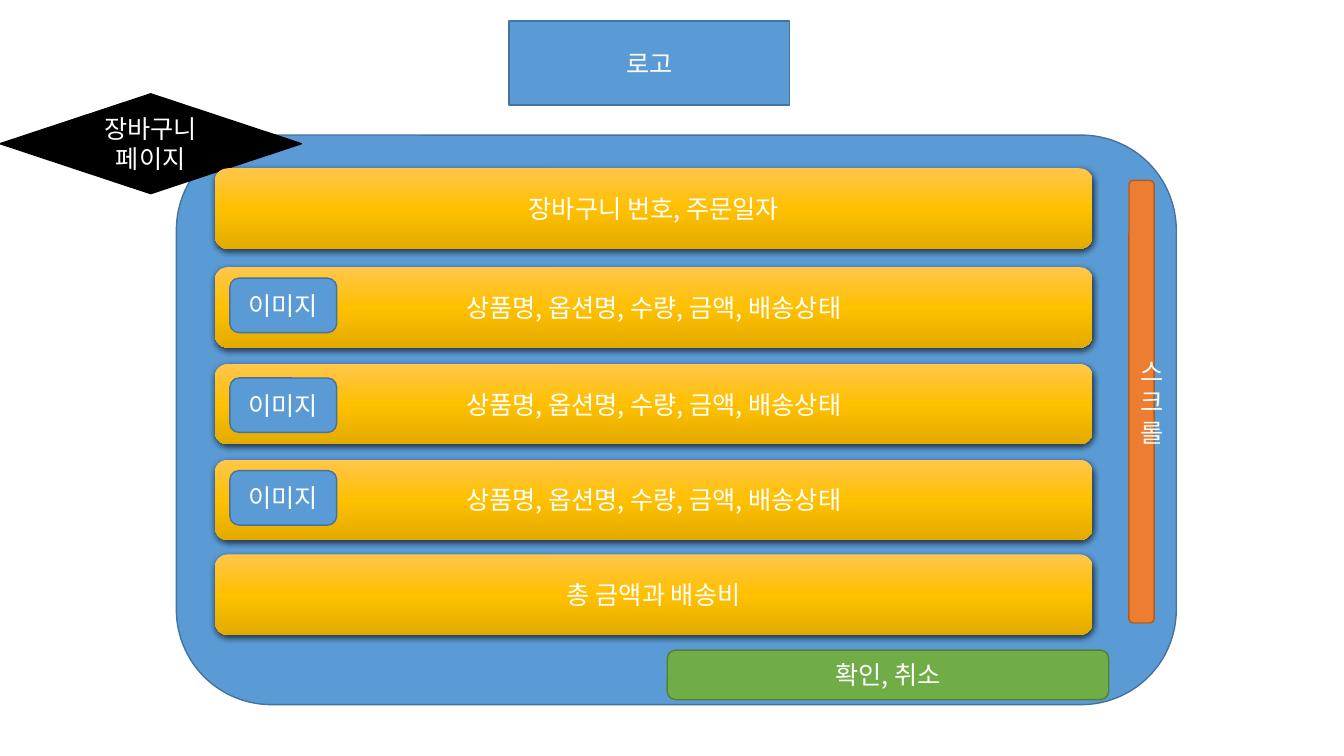
from copy import deepcopy

from lxml.etree import SubElement
from pptx import Presentation
from pptx.dml.color import RGBColor
from pptx.enum.shapes import MSO_SHAPE as Preset
from pptx.enum.text import MSO_ANCHOR, PP_ALIGN
from pptx.oxml.ns import qn
from pptx.util import Pt

FONT = "Noto Sans CJK KR"
COLORS = {
    "text": "FFFFFF",
    "black": "000000",
    "blue": "5B9BD5",
    "blue_edge": "43739E",
    "orange": "ED7D31",
    "orange_edge": "AF5C24",
    "green": "70AD47",
    "green_edge": "538035",
    "gold_light": "FFC64B",
    "gold": "FFC000",
    "gold_dark": "E3AB00",
}
ITEM = "상품명, 옵션명, 수량, 금액, 배송상태"
# Row text, top of the row, top of its thumbnail (None without one)
ROWS = [
    ("장바구니 번호, 주문일자", 120.2, None),
    (ITEM, 190.8, 198.7),
    (ITEM, 259.9, 270),
    (ITEM, 328.3, 336.2),
    ("총 금액과 배송비", 396, None),
]


def color(name):
    return RGBColor.from_string(COLORS[name])


def write_label(shape, label):
    frame = shape.text_frame
    frame.text = label
    frame.word_wrap = True
    frame.vertical_anchor = MSO_ANCHOR.MIDDLE
    paragraph = frame.paragraphs[0]
    paragraph.alignment = PP_ALIGN.CENTER
    for run in paragraph.runs:
        run.font.size = Pt(18)
        run.font.name = FONT
        run.font.color.rgb = color("text")
        SubElement(run.font._element, qn("a:ea"), typeface=FONT)


def add_block(slide, preset, box, label=""):
    block = slide.shapes.add_shape(preset, *[Pt(length) for length in box])
    block.shadow.inherit = False
    if label:
        write_label(block, label)
    return block


def add_flat(slide, preset, box, fill, edge, label=""):
    block = add_block(slide, preset, box, label)
    block.fill.solid()
    block.fill.fore_color.rgb = color(fill)
    block.line.color.rgb = color(edge)
    block.line.width = Pt(1)


def add_gold_row(slide, top, label):
    row = add_block(slide, Preset.ROUNDED_RECTANGLE, (153.4, top, 627.1, 57.6), label)
    row.line.fill.background()

    # Three-stop gradient running downwards
    row.fill.gradient()
    row.fill.gradient_angle = 270
    properties = row._element.spPr
    stop_list = properties.find(qn("a:gradFill")).find(qn("a:gsLst"))
    stop_list.append(deepcopy(stop_list[0]))
    shades = ("gold_light", "gold", "gold_dark")
    for index, (stop, shade) in enumerate(zip(row.fill.gradient_stops, shades)):
        stop.position = index / 2
        stop.color.rgb = color(shade)

    # Soft shadow below the row
    shadow = SubElement(
        properties.find(qn("a:effectLst")), qn("a:outerShdw"),
        blurRad=str(Pt(4.5)), dist=str(Pt(1.5)), dir="5400000",
        algn="ctr", rotWithShape="0",
    )
    shade = SubElement(shadow, qn("a:srgbClr"), val=COLORS["black"])
    SubElement(shade, qn("a:alpha"), val="63000")


def main():
    prs = Presentation()
    prs.slide_width, prs.slide_height = Pt(960), Pt(540)
    slide = prs.slides.add_slide(prs.slide_layouts[6])
    rounded = Preset.ROUNDED_RECTANGLE

    # Header, page panel and page tag
    add_flat(slide, Preset.RECTANGLE, (363.6, 15.1, 200.2, 59.8),
             "blue", "blue_edge", "로고")
    add_flat(slide, rounded, (126, 96.5, 714.2, 406.8), "blue", "blue_edge")
    add_flat(slide, Preset.FLOWCHART_DECISION, (0, 67, 215.3, 71.3),
             "black", "black", "장바구니 페이지")

    # Cart rows with their thumbnails
    for label, top, thumbnail_top in ROWS:
        add_gold_row(slide, top, label)
        if thumbnail_top is not None:
            add_flat(slide, rounded, (164.2, thumbnail_top, 76.3, 38.9),
                     "blue", "blue_edge", "이미지")

    # Scroll bar and buttons
    add_flat(slide, rounded, (806.4, 128.9, 18, 316.1),
             "orange", "orange_edge", "스크롤")
    add_flat(slide, rounded, (476.6, 464.4, 315.4, 35.3),
             "green", "green_edge", "확인, 취소")

    prs.save("out.pptx")


if __name__ == "__main__":
    main()
